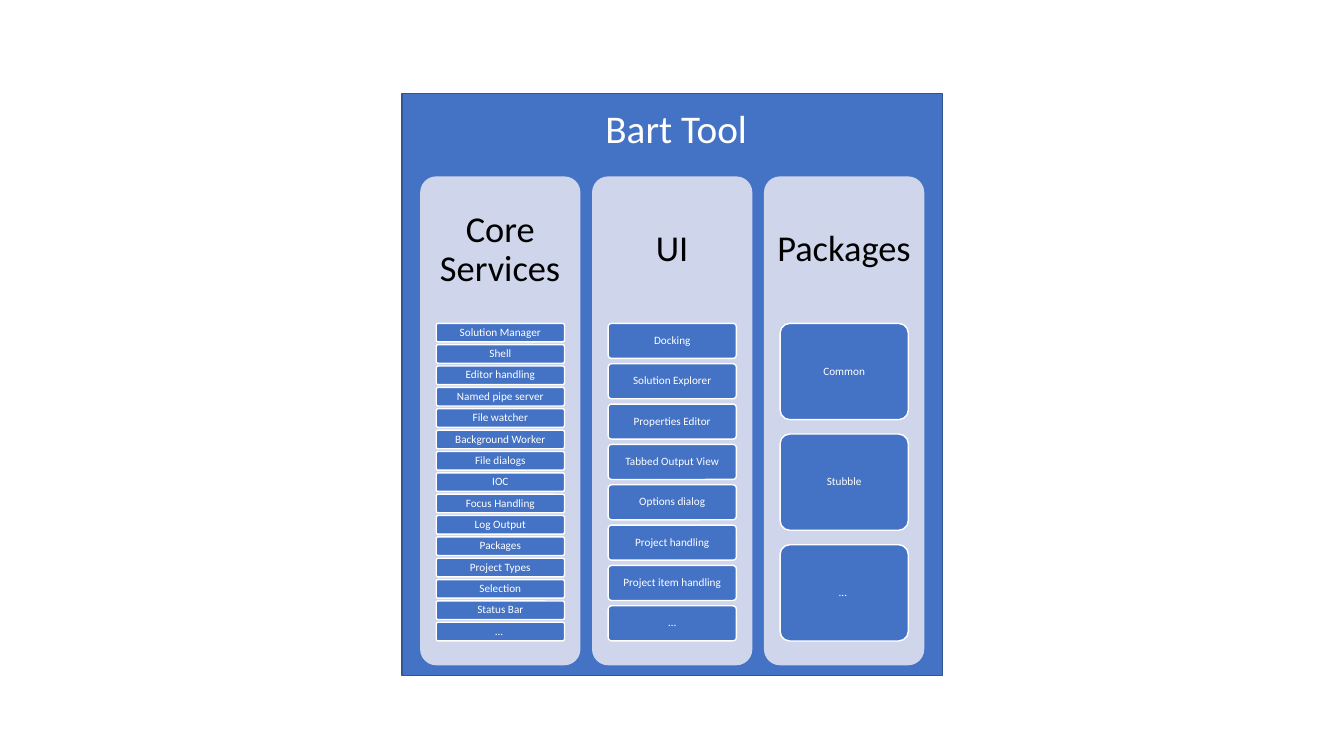
import dataclasses
import typing

import pptx
import pptx.dml.color
import pptx.enum.shapes
import pptx.enum.text
import pptx.shapes.autoshape
import pptx.text.text
import pptx.util

Pt = pptx.util.Pt
Color = pptx.dml.color.RGBColor
Kind = pptx.enum.shapes.MSO_SHAPE
Anchor = pptx.enum.text.MSO_ANCHOR

BLUE = Color(0x44, 0x72, 0xC4)
NAVY = Color(0x32, 0x54, 0x91)
PALE = Color(0xCF, 0xD5, 0xEA)
WHITE = Color(255, 255, 255)
BLACK = Color(0, 0, 0)

COL_LEFT, COL_TOP, COL_WIDTH, COL_HEIGHT = 300.1, 126, 114.5, 349.2
COL_STEP = 122.8
HEAD_HEIGHT = 105
TILE_INSET, TILE_WIDTH, STACK_HEIGHT = 11.5, 91.6, 226.8
GAP_RATIO = 0.15


@dataclasses.dataclass
class Box:
    left: float
    top: float
    width: float
    height: float


@dataclasses.dataclass
class Column:
    head: str
    tiles: list[str]


COLUMNS = [
    Column("Core Services", [
        "Solution Manager", "Shell", "Editor handling", "Named pipe server",
        "File watcher", "Background Worker", "File dialogs", "IOC",
        "Focus Handling", "Log Output", "Packages", "Project Types",
        "Selection", "Status Bar", "...\u00a0"]),
    Column("UI", [
        "Docking", "Solution Explorer", "Properties Editor",
        "Tabbed Output View", "Options dialog", "Project handling",
        "Project item handling", "\u2026"]),
    Column("Packages", ["Common", "Stubble", "...\u00a0"]),
]


def apply(target: typing.Any, values: dict[str, typing.Any]) -> None:
    for name, value in values.items():
        setattr(target, name, value)


def pads(side: float, base: float) -> dict[str, typing.Any]:
    return {"margin_left": Pt(side), "margin_right": Pt(side),
            "margin_top": Pt(side), "margin_bottom": Pt(base),
            "vertical_anchor": Anchor.MIDDLE, "word_wrap": True}


def write(frame: pptx.text.text.TextFrame, text: str, size: float,
          color: Color, layout: dict[str, typing.Any],
          spacing: float = 0.9) -> None:
    frame.text = text
    apply(frame, layout)
    para = frame.paragraphs[0]
    apply(para, {"alignment": pptx.enum.text.PP_ALIGN.CENTER,
                 "line_spacing": spacing})
    font = para.runs[0].font
    apply(font, {"name": "Calibri", "size": Pt(size)})
    font.color.rgb = color


def draw(shapes: typing.Any, kind: Kind, box: Box, fill: Color,
         line: Color | None = None) -> pptx.shapes.autoshape.Shape:
    shape = shapes.add_shape(kind, Pt(box.left), Pt(box.top),
                             Pt(box.width), Pt(box.height))
    shape.shadow.inherit = False
    shape.fill.solid()
    shape.fill.fore_color.rgb = fill
    if line is None:
        shape.line.fill.background()
    else:
        shape.line.color.rgb = line
        shape.line.width = Pt(1)
    if kind == Kind.ROUNDED_RECTANGLE:
        shape.adjustments[0] = 0.1
    return shape


def build(shapes: typing.Any, column: Column, left: float) -> None:
    panel = draw(shapes, Kind.ROUNDED_RECTANGLE,
                 Box(left, COL_TOP, COL_WIDTH, COL_HEIGHT), PALE)
    write(panel.text_frame, column.head, 26, BLACK,
          pads(4.6, COL_HEIGHT - HEAD_HEIGHT + 4.6))
    count = len(column.tiles)
    height = STACK_HEIGHT / (count + (count - 1) * GAP_RATIO)
    for row, text in enumerate(column.tiles):
        top = COL_TOP + HEAD_HEIGHT + row * height * (1 + GAP_RATIO)
        tile = draw(shapes, Kind.ROUNDED_RECTANGLE,
                    Box(left + TILE_INSET, top, TILE_WIDTH, height),
                    BLUE, WHITE)
        write(tile.text_frame, text, 8, WHITE, pads(1.2, 1.2))


deck = pptx.Presentation()
apply(deck, {"slide_width": Pt(960), "slide_height": Pt(540)})
slide = deck.slides.add_slide(deck.slide_layouts[5])
shapes = slide.shapes

draw(shapes, Kind.RECTANGLE, Box(287.3, 67, 385.9, 415.4), BLUE, NAVY)

title = shapes.title
shapes.element.append(title.element)
apply(title, {"left": Pt(303), "top": Pt(70.6),
              "width": Pt(360), "height": Pt(41)})
write(title.text_frame, "Bart Tool", 28, WHITE,
      {"vertical_anchor": Anchor.TOP, "word_wrap": True,
       "auto_size": pptx.enum.text.MSO_AUTO_SIZE.SHAPE_TO_FIT_TEXT}, 1.0)

for index, column in enumerate(COLUMNS):
    build(shapes, column, COL_LEFT + index * COL_STEP)

deck.save("out.pptx")
